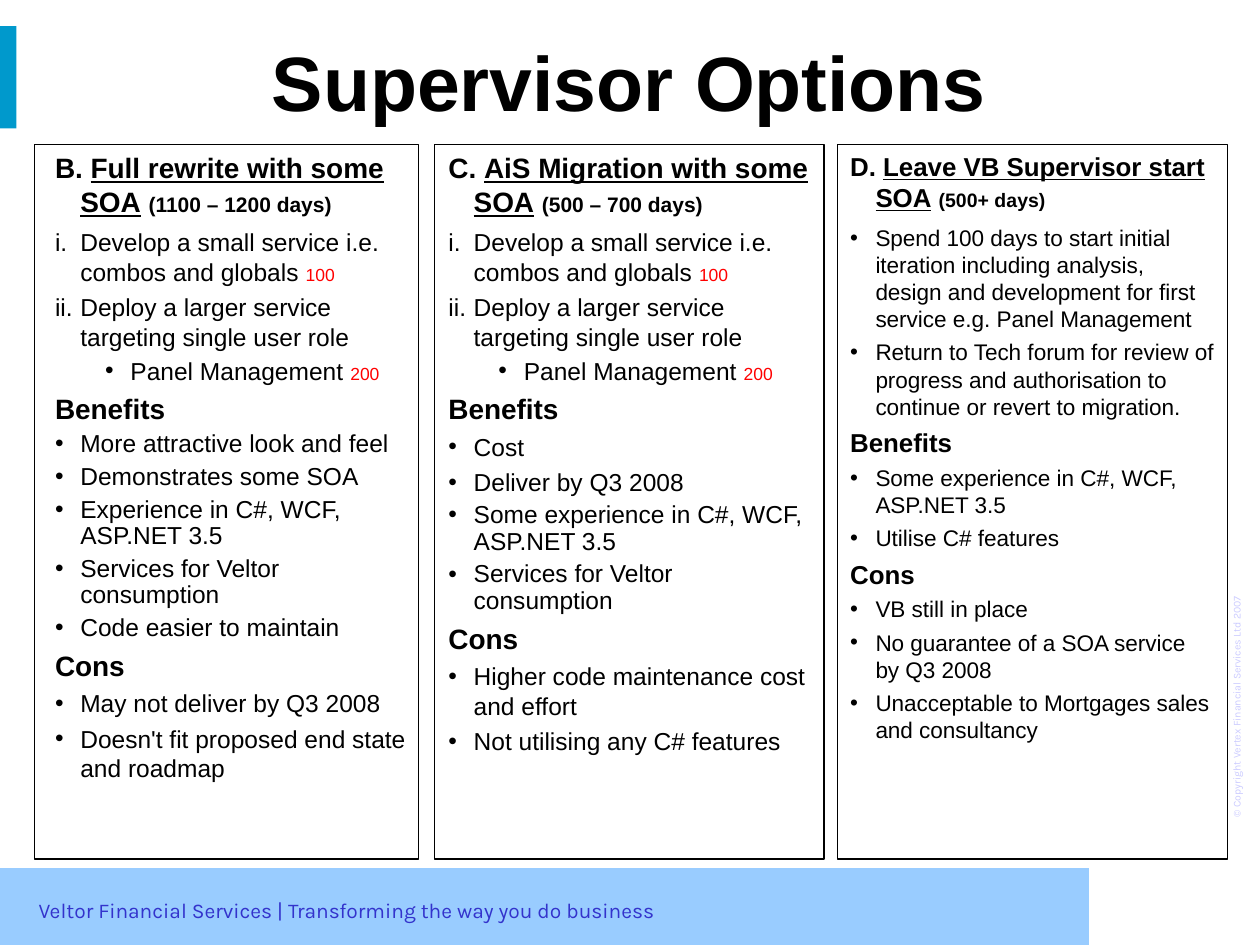
from lxml.etree import SubElement
from pptx import Presentation
from pptx.dml.color import RGBColor
from pptx.enum.shapes import MSO_CONNECTOR, MSO_SHAPE
from pptx.enum.text import MSO_ANCHOR, PP_ALIGN
from pptx.oxml.ns import qn
from pptx.util import Cm, Pt

HUES = {
    "black": "000000", "white": "FFFFFF", "red": "FF0000", "band": "99CCFF",
    "teal": "0099CC", "blue": "3333CC", "pale": "CCCCFF",
}

STEPS = [
    ("step", "Develop a small service i.e. combos and globals ", "100"),
    ("step", "Deploy a larger service targeting single user role"),
    ("sub", "Panel Management ", "200"),
]

LANES = [
    dict(left=0.69, width=7.75, inset=0.17, sizes=(16, 14, 12), gap=5.3,
         title=("B. ", "Full rewrite with some SOA", "(1100 – 1200 days)"),
         rows=STEPS + [
             ("head", "Benefits"),
             ("tight", "More attractive look and feel"),
             ("tight", "Demonstrates some SOA"),
             ("tight", "Experience in C#, WCF, ASP.NET 3.5"),
             ("tight", "Services for Veltor consumption"),
             ("tight", "Code easier to maintain"),
             ("head", "Cons"),
             ("item", "May not deliver by Q3 2008"),
             ("item", "Doesn't fit proposed end state and roadmap"),
         ]),
    dict(left=8.76, width=7.85, inset=0.03, sizes=(16, 14, 12), gap=5.3,
         title=("C. ", "AiS Migration with some SOA", "(500 – 700 days)"),
         rows=STEPS + [
             ("head", "Benefits"),
             ("item", "Cost"),
             ("item", "Deliver by Q3 2008"),
             ("tight", "Some experience in C#, WCF, ASP.NET 3.5"),
             ("tight", "Services for Veltor consumption"),
             ("head", "Cons"),
             ("item", "Higher code maintenance cost and effort"),
             ("item", "Not utilising any C# features"),
         ]),
    dict(left=16.89, width=7.85, inset=0, sizes=(14.8, 12.9, 11.1), gap=6.2,
         title=("D. ", "Leave VB Supervisor start SOA", "(500+ days)"),
         rows=[
             ("item", "Spend 100 days to start initial iteration including analysis, "
                      "design and development for first service e.g. Panel Management"),
             ("item", "Return to Tech forum for review of progress and authorisation "
                      "to continue or revert to migration."),
             ("head", "Benefits"),
             ("item", "Some experience in C#, WCF, ASP.NET 3.5"),
             ("item", "Utilise C# features"),
             ("head", "Cons"),
             ("item", "VB still in place"),
             ("item", "No guarantee of a SOA service by Q3 2008"),
             ("item", "Unacceptable to Mortgages sales and consultancy"),
         ]),
]


def tint(name):
    return RGBColor.from_string(HUES[name])


def write(para, text, size=14, hue="black", bold=False, line=False, face="Arial"):
    run = para.add_run()
    run.text = text
    font = run.font
    font.size, font.bold, font.underline, font.name = Pt(size), bold, line, face
    font.color.rgb = tint(hue)


class Page:
    face = "Karla"
    dent = 0.51
    space = {"step": 3.5, "sub": 2.5, "head": 4, "tight": 3.5, "item": 3.5}

    def __init__(self, slide):
        self.slide = slide

    def rect(self, left, top, width, height, fill=None, edge=None):
        shape = self.slide.shapes.add_shape(
            MSO_SHAPE.RECTANGLE, Cm(left), Cm(top), Cm(width), Cm(height))
        shape.shadow.inherit = False
        if fill:
            shape.fill.solid()
            shape.fill.fore_color.rgb = tint(fill)
        else:
            shape.fill.background()
        if edge:
            shape.line.color.rgb = tint(edge)
            shape.line.width = Pt(0.75)
        else:
            shape.line.fill.background()

    def rule(self, left, top, end, foot, hue):
        line = self.slide.shapes.add_connector(
            MSO_CONNECTOR.STRAIGHT, Cm(left), Cm(top), Cm(end), Cm(foot))
        line.line.color.rgb = tint(hue)
        line.line.width = Pt(1.5)
        SubElement(line._element.spPr, qn("a:effectLst"))

    def box(self, left, top, width, height, turn=0):
        shape = self.slide.shapes.add_textbox(Cm(left), Cm(top), Cm(width), Cm(height))
        shape.rotation = turn
        shape.text_frame.word_wrap = True
        return shape.text_frame

    def label(self, place, text, turn=0, **look):
        write(self.box(*place, turn=turn).paragraphs[0], text, face=self.face, **look)

    def title(self, place, text):
        frame = self.box(*place)
        frame.vertical_anchor = MSO_ANCHOR.MIDDLE
        frame.paragraphs[0].alignment = PP_ALIGN.CENTER
        write(frame.paragraphs[0], text, size=44, bold=True)

    def mark(self, para, kind, count=1):
        props = para._p.get_or_add_pPr()
        deep = kind == "sub"
        props.set("marL", str(Cm(1.52 if deep else self.dent)))
        props.set("indent", str(-Cm(self.dent)))
        if deep:
            props.set("lvl", "1")
        if kind == "head":
            SubElement(props, qn("a:buNone"))
            return
        SubElement(SubElement(props, qn("a:buClr")), qn("a:srgbClr"), val=HUES["black"])
        SubElement(props, qn("a:buFont"), typeface="Arial")
        if kind == "step":
            SubElement(props, qn("a:buAutoNum"), type="romanLcPeriod", startAt=str(count))
        else:
            SubElement(props, qn("a:buChar"), char="•")

    def lane(self, left, width, inset, sizes, gap, title, rows):
        large, main, small = sizes
        frame = self.box(left + inset, 2.92, width - inset, 13.54)
        para = frame.paragraphs[0]
        self.mark(para, "head")
        mark, name, days = title
        write(para, mark, size=large, bold=True)
        write(para, name, size=large, bold=True, line=True)
        write(para, " ", size=large, bold=True)
        write(para, days, size=small, bold=True)
        for count, (kind, text, *cost) in enumerate(rows, 1):
            para = frame.add_paragraph()
            self.mark(para, kind, count)
            para.space_before = Pt(gap if count == 1 else self.space[kind])
            if kind == "tight":
                para.line_spacing = 0.9
            head = kind == "head"
            write(para, text, size=large if head else main, bold=head)
            for days in cost:
                write(para, days, size=10, hue="red")
        self.rect(left, 2.92, width, 14.4, edge="black")


def main():
    deck = Presentation()
    deck.slide_width, deck.slide_height = Cm(25.4), Cm(19.05)
    page = Page(deck.slides.add_slide(deck.slide_layouts[6]))
    page.rect(0, 17.5, 21.95, 1.55, fill="band")
    page.label((22.25, 13.79, 5.36, 0.51), "© Copyright Vertex Financial Services Ltd 2007",
               turn=270, size=6, hue="pale")
    page.rule(21.97, 19.05, 21.97, 17.48, "white")
    page.rect(0, 0.53, 0.33, 2.06, fill="teal")
    page.label((0.53, 17.96, 20.65, 0.76),
               "Veltor Financial Services | Transforming the way you do business",
               size=12, hue="blue")
    page.title((0.64, 0.25, 24.1, 2.74), "Supervisor Options")
    for lane in LANES:
        page.lane(**lane)
    deck.save("out.pptx")


if __name__ == "__main__":
    main()
